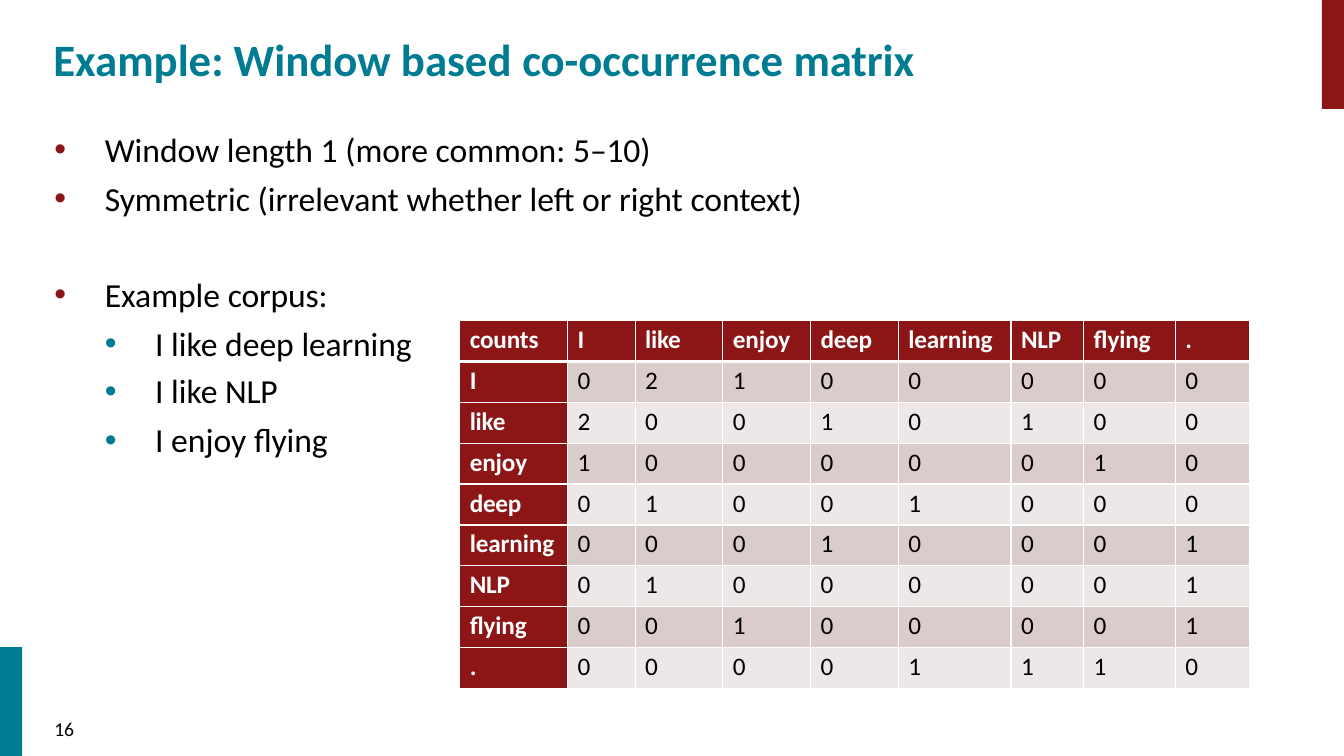
"""Build the slide on a window based co-occurrence matrix."""
from typing import NamedTuple

from lxml.etree import SubElement as Sub
from pptx import Presentation as Deck
from pptx.dml.color import RGBColor as Color
from pptx.enum.shapes import MSO_SHAPE as Shape
from pptx.oxml.ns import qn
from pptx.util import Inches, Pt

HUES = {"red": "8C1515", "teal": "007C92", "black": "000000",
        "white": "FFFFFF", "dark": "DBCCCC", "light": "EEE7E7"}


class Box(NamedTuple):
    left: float
    top: float
    width: float
    height: float


class Bar(NamedTuple):
    box: Box
    hue: str


class Style(NamedTuple):
    size: float
    hue: str = "black"
    bold: bool = False


class Run(NamedTuple):
    text: str
    track: float = 0


class Line(NamedTuple):
    runs: list[Run]
    gap: float
    level: int = 0
    dot: str = ""


class Label(NamedTuple):
    box: Box
    inset: float
    style: Style
    lines: list[Line]


BARS = [Bar(Box(13.11, 0, 0.22, 1.08), "red"),
        Bar(Box(0, 6.42, 0.22, 1.08), "teal")]

LABELS = [
    Label(Box(0.53, 0.03, 12.27, 0.99), 0.28, Style(32, "teal", True), [
        Line([Run("Example: Window based "), Run("co-", -0.2),
              Run("occurrence "), Run("matrix", -0.1)], 1)]),
    Label(Box(0.54, 7.11, 0.3, 0.27), 0, Style(14), [
        Line([Run("16", -0.2)], 0.3)]),
    Label(Box(0.53, 1.18, 7.5, 3.4), 0.1, Style(24), [
        Line([Run("Window length 1 (more common: "), Run("5–10)", -0.1)],
             7, 0, "red"),
        Line([Run("Symmetric (irrelevant whether left or right "),
              Run("context)", -0.1)], 6, 0, "red"),
        Line([Run("Example "), Run("corpus:", -0.1)], 40, 0, "red"),
        Line([Run("I like deep "), Run("learning", -0.1)], 6.2, 1, "teal"),
        Line([Run("I like "), Run("NLP", -0.2)], 5, 1, "teal"),
        Line([Run("I enjoy "), Run("flying", -0.1)], 6.2, 1, "teal")]),
]

WORDS = ["I", "like", "enjoy", "deep", "learning", "NLP", "flying", "."]
COUNTS = ["02100000", "20010100", "10000010", "01001000",
          "00010001", "01000001", "00100001", "00001110"]
WIDTHS = [1.07, 0.67, 0.87, 0.87, 0.87, 1.12, 0.72, 0.91, 0.74]
GRID = Box(4.56, 3.18, sum(WIDTHS), 3.65)


def paint(fill, hue: str) -> None:
    fill.solid()
    fill.fore_color.rgb = Color.from_string(HUES[hue])


def place(box: Box) -> list:
    return [Inches(side) for side in box]


def write(para, runs: list[Run], style: Style) -> None:
    for item in runs:
        run = para.add_run()
        run.text = item.text
        font = run.font
        font.name, font.size, font.bold = "Calibri", Pt(style.size), style.bold
        font.color.rgb = Color.from_string(HUES[style.hue])
        if item.track:
            font._element.set("spc", str(round(item.track * 100)))


def indent(para, line: Line) -> None:
    props = para._p.get_or_add_pPr()
    props.set("marL", str(Inches(0.51 + line.level * 0.5)))
    props.set("indent", str(Inches(-0.5)))
    tint = Sub(props, qn("a:buClr"))
    Sub(tint, qn("a:srgbClr"), val=HUES[line.dot])
    Sub(props, qn("a:buFont"), typeface="Arial")
    Sub(props, qn("a:buChar"), char="•")


def draw_bar(slide, bar: Bar) -> None:
    shape = slide.shapes.add_shape(Shape.RECTANGLE, *place(bar.box))
    shape.shadow.inherit = False
    paint(shape.fill, bar.hue)
    shape.line.fill.background()


def draw_label(slide, label: Label) -> None:
    frame = slide.shapes.add_textbox(*place(label.box)).text_frame
    frame.word_wrap = True
    frame.margin_left = frame.margin_right = frame.margin_bottom = 0
    frame.margin_top = Inches(label.inset)
    for rank, line in enumerate(label.lines):
        para = frame.add_paragraph() if rank else frame.paragraphs[0]
        para.space_before = Pt(line.gap)
        para.level = line.level
        if line.dot:
            indent(para, line)
        write(para, line.runs, label.style)


def edge(cell, row: int) -> None:
    props = cell._tc.get_or_add_tcPr()
    sides = {"L": 1, "R": 1, "T": 3 if row == 1 else 1, "B": 1 if row else 3}
    for side, width in sides.items():
        line = Sub(props, qn(f"a:ln{side}"), w=str(Pt(width)))
        fill = Sub(line, qn("a:solidFill"))
        Sub(fill, qn("a:srgbClr"), val=HUES["white"])


def squeeze(text: str) -> float:
    if len(text) == 1:
        return -0.5
    return -0.2 if len(text) < 5 else -0.1


def draw_grid(slide) -> None:
    rows = [["counts", *WORDS]]
    rows += [[word, *digits] for word, digits in zip(WORDS, COUNTS)]
    table = slide.shapes.add_table(len(rows), len(WIDTHS), *place(GRID)).table
    table.horz_banding = False
    for col, width in zip(table.columns, WIDTHS):
        col.width = Inches(width)
    for y, row in enumerate(rows):
        table.rows[y].height = Inches(GRID.height / len(rows))
        for x, text in enumerate(row):
            cell = table.cell(y, x)
            head = x == 0 or y == 0
            cell.margin_left, cell.margin_top = Inches(0.1), Inches(0.04)
            cell.margin_right = cell.margin_bottom = 0
            edge(cell, y)
            paint(cell.fill, "red" if head else "dark" if y % 2 else "light")
            para = cell.text_frame.paragraphs[0]
            para.space_before = Pt(2.5)
            style = Style(18, "white" if head else "black", head)
            write(para, [Run(text, squeeze(text))], style)


def main() -> None:
    deck = Deck()
    deck.slide_width, deck.slide_height = Inches(13.33), Inches(7.5)
    slide = deck.slides.add_slide(deck.slide_layouts[6])
    for bar in BARS:
        draw_bar(slide, bar)
    for label in LABELS:
        draw_label(slide, label)
    draw_grid(slide)
    deck.save("out.pptx")


if __name__ == "__main__":
    main()
